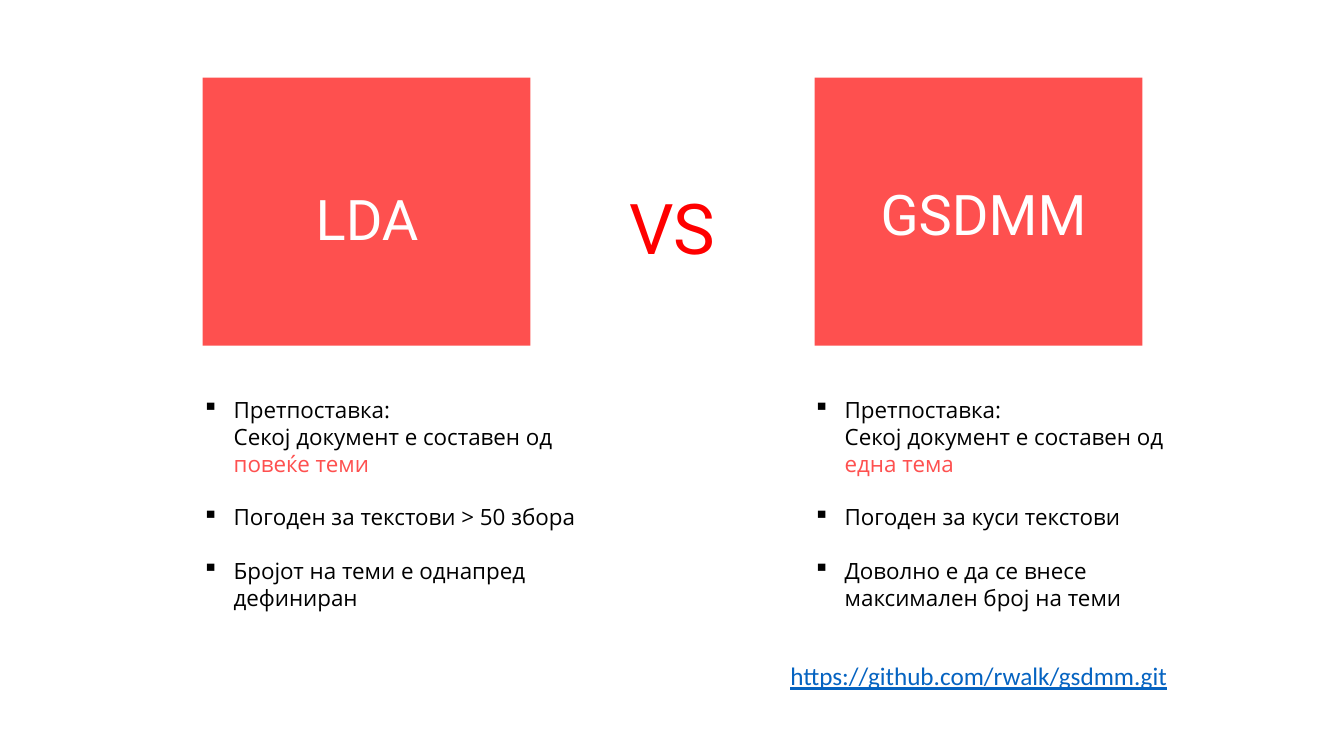
from copy import deepcopy

from pptx import Presentation
from pptx.dml.color import RGBColor
from pptx.enum.shapes import MSO_SHAPE
from pptx.enum.text import PP_ALIGN
from pptx.oxml.ns import qn
from pptx.oxml.xmlchemy import OxmlElement
from pptx.util import Pt

EMU_PER_PX = 9144  # 100 px to the inch

CORAL = RGBColor(0xFE, 0x50, 0x4F)
RED = RGBColor(0xFF, 0x00, 0x00)
WHITE = RGBColor(0xFF, 0xFF, 0xFF)
BLACK = RGBColor(0x00, 0x00, 0x00)
LINK_BLUE = RGBColor(0x05, 0x63, 0xC1)

LDA_POINTS = [
    ("Претпоставка: \vСекој документ е составен од ", "повеќе теми"),
    ("Погоден за текстови > 50 збора", ""),
    ("Бројот на теми е однапред дефиниран", ""),
]
GSDMM_POINTS = [
    ("Претпоставка:\vСекој документ е составен од \v", "една тема"),
    ("Погоден за куси текстови", ""),
    ("Доволно е да се внесе \vмаксимален број на теми", ""),
]


def px(length):
    return length * EMU_PER_PX


class ComparisonSlide:
    heading_font = "Roboto"
    body_font = "Open Sans"
    link_font = "Calibri"
    body_size = 16
    bullet_indent = 31
    bullet_gap = 19.2

    def __init__(self, presentation):
        self.slide = presentation.slides.add_slide(presentation.slide_layouts[6])

    def panel(self, left, top, width, height):
        shape = self.slide.shapes.add_shape(
            MSO_SHAPE.RECTANGLE, px(left), px(top), px(width), px(height))
        shape.shadow.inherit = False
        shape.fill.solid()
        shape.fill.fore_color.rgb = CORAL
        shape.line.fill.background()

    def text_frame(self, left, top, width, height, wrap=True):
        box = self.slide.shapes.add_textbox(px(left), px(top), px(width), px(height))
        box.text_frame.word_wrap = wrap
        return box.text_frame

    def style(self, run, font, size, color):
        run.font.name = font
        run.font.size = Pt(size)
        run.font.color.rgb = color

    def indent(self, paragraph, margin, first_line):
        properties = paragraph._p.get_or_add_pPr()
        properties.set("marL", str(px(margin)))
        properties.set("indent", str(px(first_line)))
        return properties

    def heading(self, text, left, top, width, height, size, color):
        text_frame = self.text_frame(left, top, width, height, wrap=False)
        text_frame.text = text
        paragraph = text_frame.paragraphs[0]
        paragraph.alignment = PP_ALIGN.CENTER
        self.style(paragraph.runs[0], self.heading_font, size, color)

    def bullet_list(self, points, left, top, width, height):
        """Write (plain text, highlighted ending) pairs as bulleted paragraphs."""
        text_frame = self.text_frame(left, top, width, height)
        for index, (text, highlight) in enumerate(points):
            paragraph = text_frame.add_paragraph() if index else text_frame.paragraphs[0]
            paragraph.text = text
            properties = self.indent(paragraph, self.bullet_indent, -self.bullet_indent)
            bullet = OxmlElement("a:buChar")
            bullet.set("char", "▪")
            properties.append(bullet)
            if index:
                paragraph.space_before = Pt(self.bullet_gap)
            for run in paragraph.runs:
                self.style(run, self.body_font, self.body_size, BLACK)
            self.style_line_breaks(paragraph)
            if highlight:
                run = paragraph.add_run()
                run.text = highlight
                self.style(run, self.body_font, self.body_size, CORAL)

    def style_line_breaks(self, paragraph):
        """Give line breaks the run format, so that they keep the line height."""
        run_properties = paragraph.runs[0]._r.rPr
        for line_break in paragraph._p.findall(qn("a:br")):
            line_break.insert(0, deepcopy(run_properties))

    def address(self, text, left, top, width, height):
        text_frame = self.text_frame(left, top, width, height)
        text_frame.text = text
        paragraph = text_frame.paragraphs[0]
        paragraph.line_spacing = 1.15
        self.indent(paragraph, 0, 50)
        run = paragraph.runs[0]
        self.style(run, self.link_font, 18, LINK_BLUE)
        run.font.underline = True


def main():
    presentation = Presentation()
    presentation.slide_width = px(1333)
    presentation.slide_height = px(750)
    comparison = ComparisonSlide(presentation)

    for left in (201, 808):
        comparison.panel(left, 77, 325, 266)
    comparison.bullet_list(LDA_POINTS, 191, 388, 430, 306)
    comparison.heading("LDA", 302, 178, 124, 77, 40, WHITE)
    comparison.heading("GSDMM", 862, 173, 227, 77, 40, WHITE)
    comparison.heading("VS", 613, 178, 108, 94, 50, RED)
    comparison.bullet_list(GSDMM_POINTS, 797, 388, 503, 252)
    comparison.address("https://github.com/rwalk/gsdmm.git", 724, 646, 503, 43)

    presentation.save("out.pptx")


if __name__ == "__main__":
    main()
